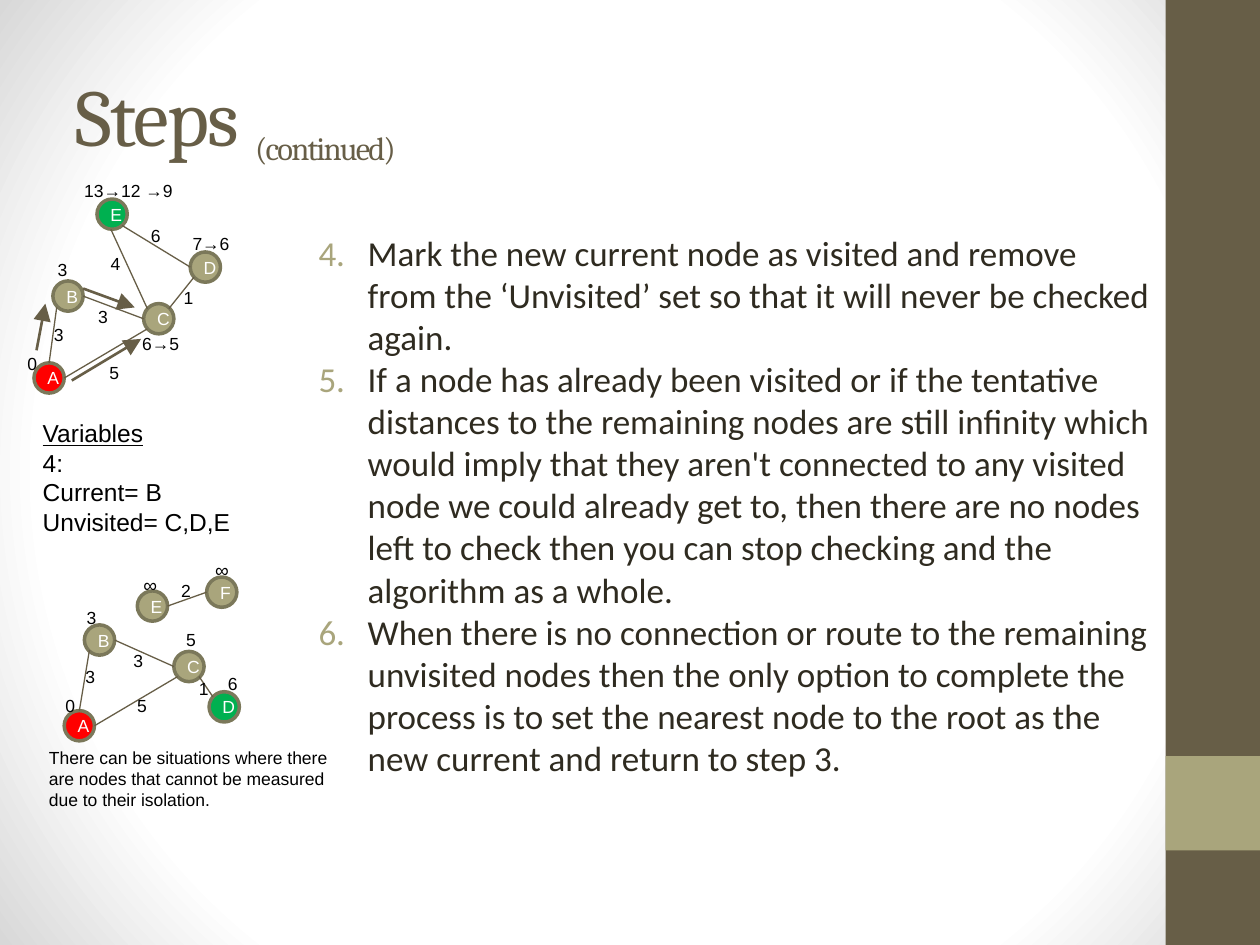
from typing import NamedTuple

from lxml.etree import SubElement
from pptx import Presentation
from pptx.dml.color import RGBColor
from pptx.enum.shapes import MSO_CONNECTOR as Connector, MSO_SHAPE as Preset
from pptx.enum.text import MSO_ANCHOR as Anchor
from pptx.oxml import parse_xml
from pptx.oxml.ns import nsdecls, qn
from pptx.util import Emu, Pt

EMU_PER_PX = 9144  # 100 px to the inch
NODE_SIZE = 24
LABEL_HEIGHT = 29

COLORS = {
    "brown": "675E47",
    "olive": "A9A57C",
    "rim": "7B785A",
    "start": "FF0000",
    "goal": "00B050",
    "body": "2F2B20",
    "black": "000000",
    "white": "FFFFFF",
    "edge gray": "D8D8D8",
}


class Node(NamedTuple):
    letter: str
    left: int
    top: int
    color: str = "olive"


class Edge(NamedTuple):
    x1: int
    y1: int
    x2: int
    y2: int


class Label(NamedTuple):
    text: str
    left: int
    top: int
    width: int = 23
    size: int = 10


class Graph(NamedTuple):
    nodes: list[Node]
    edges: list[Edge]
    labels: list[Label]
    moves: list[Edge]


UPPER_GRAPH = Graph(
    nodes=[Node("A", 27, 288, "start"), Node("B", 42, 223), Node("C", 114, 241),
           Node("D", 151, 200), Node("E", 77, 158, "goal")],
    edges=[Edge(51, 300, 117, 261), Edge(39, 288, 45, 244), Edge(134, 245, 154, 220),
           Edge(88, 182, 117, 245), Edge(151, 212, 97, 179), Edge(66, 235, 114, 253)],
    labels=[Label("0", 12, 275), Label("6→5", 103, 259, 71), Label("3", 36, 201),
            Label("13→12 →9", 57, 138, 98), Label("7→6", 143, 180, 54),
            Label("3", 33, 252), Label("3", 68, 238), Label("4", 78, 196),
            Label("5", 77, 282), Label("1", 136, 223), Label("6", 110, 174)],
    moves=[Edge(29, 278, 36, 241), Edge(66, 229, 107, 244), Edge(57, 302, 112, 269)],
)
LOWER_GRAPH = Graph(
    nodes=[Node("A", 51, 564, "start"), Node("B", 67, 496), Node("C", 138, 517),
           Node("D", 166, 549, "goal"), Node("E", 109, 469), Node("F", 164, 458)],
    edges=[Edge(75, 576, 141, 537), Edge(63, 564, 71, 516), Edge(158, 537, 169, 553),
           Edge(91, 508, 138, 529), Edge(164, 470, 133, 481)],
    labels=[Label("0", 42, 547), Label("5", 138, 494), Label("3", 59, 477),
            Label("3", 58, 524), Label("3", 96, 511), Label("5", 99, 547),
            Label("1", 148, 533), Label("6", 171, 529), Label("2", 134, 455),
            Label("∞", 104, 450, size=11), Label("∞", 161, 438, size=11)],
    moves=[],
)
VARIABLES = ["Variables", "4:", "Current= B", "Unvisited= C,D,E"]
STEPS = [
    "Mark the new current node as visited and remove from the ‘Unvisited’ set so that "
    "it will never be checked again.",
    "If a node has already been visited or if the tentative distances to the remaining "
    "nodes are still infinity which would imply that they aren't connected to any visited "
    "node we could already get to, then there are no nodes left to check then you can stop "
    "checking and the algorithm as a whole.",
    "When there is no connection or route to the remaining unvisited nodes then the only "
    "option to complete the process is to set the nearest node to the root as the new "
    "current and return to step 3.",
]
CAPTION = ("There can be situations where there are nodes that cannot be measured "
           "due to their isolation.")


def px(value: int) -> Emu:
    return Emu(value * EMU_PER_PX)


def rgb(name: str) -> RGBColor:
    return RGBColor.from_string(COLORS[name])


def set_background(slide) -> None:
    """Fill the slide with a radial gradient from white to gray corners."""
    stops = "".join(
        f'<a:gs pos="{position * 1000}"><a:srgbClr val="{COLORS[name]}"/></a:gs>'
        for position, name in [(0, "white"), (75, "white"), (100, "edge gray")])
    background = parse_xml(
        f'<p:bg {nsdecls("p", "a")}><p:bgPr><a:gradFill rotWithShape="1">'
        f'<a:gsLst>{stops}</a:gsLst><a:path path="circle">'
        '<a:fillToRect l="50000" t="50000" r="50000" b="50000"/></a:path>'
        '</a:gradFill><a:effectLst/></p:bgPr></p:bg>')
    slide._element.cSld.insert(0, background)


def add_run(paragraph, text: str, size: int, color: str = "black", font: str = "Arial"):
    run = paragraph.add_run()
    run.text = text
    run.font.name, run.font.size = font, Pt(size)
    run.font.color.rgb = rgb(color)
    return run


def add_text_box(slide, left: int, top: int, width: int, height: int, margin: int = 5):
    """Add a wrapping text frame; margin is its top and bottom inset."""
    frame = slide.shapes.add_textbox(px(left), px(top), px(width), px(height)).text_frame
    frame.word_wrap = True
    frame.margin_left = frame.margin_right = px(10)
    frame.margin_top = frame.margin_bottom = px(margin)
    return frame


def add_paragraphs(frame, lines: list[str], size: int, color: str = "black",
                   font: str = "Arial"):
    for index, line in enumerate(lines):
        paragraph = frame.add_paragraph() if index else frame.paragraphs[0]
        add_run(paragraph, line, size, color, font)
    return frame.paragraphs


def add_block(slide, preset, left: int, top: int, width: int, height: int, color: str):
    shape = slide.shapes.add_shape(preset, px(left), px(top), px(width), px(height))
    shape.shadow.inherit = False
    shape.fill.solid()
    shape.fill.fore_color.rgb = rgb(color)
    shape.line.fill.background()
    return shape


def draw_node(slide, node: Node) -> None:
    shape = add_block(slide, Preset.OVAL, node.left, node.top, NODE_SIZE, NODE_SIZE, node.color)
    shape.line.color.rgb, shape.line.width = rgb("rim"), Pt(2)
    frame = shape.text_frame
    frame.word_wrap = True
    frame.vertical_anchor = Anchor.MIDDLE
    frame.margin_left = frame.margin_right = px(10)
    frame.margin_top = frame.margin_bottom = px(5)
    add_run(frame.paragraphs[0], node.letter, 10, "white")


def draw_edge(slide, edge: Edge, width: float = 0.75, arrow: bool = False) -> None:
    connector = slide.shapes.add_connector(Connector.STRAIGHT, *map(px, edge))
    connector.line.color.rgb, connector.line.width = rgb("brown"), Pt(width)
    properties = connector._element.spPr
    SubElement(properties, qn("a:effectLst"))
    if arrow:
        SubElement(properties.find(qn("a:ln")), qn("a:tailEnd"),
                   type="triangle", w="lg", len="lg")


def draw_graph(slide, graph: Graph) -> None:
    for node in graph.nodes:
        draw_node(slide, node)
    for edge in graph.edges:
        draw_edge(slide, edge)
    for label in graph.labels:
        frame = add_text_box(slide, label.left, label.top, label.width, LABEL_HEIGHT)
        add_run(frame.paragraphs[0], label.text, label.size)
    for move in graph.moves:
        draw_edge(slide, move, 1.5, arrow=True)


def draw_title(slide) -> None:
    frame = add_text_box(slide, 50, 30, 833, 125, margin=10)
    frame.vertical_anchor = Anchor.MIDDLE
    paragraph = frame.paragraphs[0]
    heading = add_run(paragraph, "Steps ", 46, "brown", "Cambria")
    suffix = add_run(paragraph, "(continued)", 32, "brown", "Cambria")
    for run in (heading, suffix):
        run._r.get_or_add_rPr().set("spc", "-100")
    suffix._r.get_or_add_rPr().set("baseline", "-25000")


def draw_steps(slide) -> None:
    frame = add_text_box(slide, 232, 174, 693, 525, margin=10)
    for paragraph in add_paragraphs(frame, STEPS, 20, "body", "Calibri"):
        properties = paragraph._p.get_or_add_pPr()
        properties.set("marL", str(px(50)))
        properties.set("indent", str(px(-39)))
        bullet_color = SubElement(properties, qn("a:buClr"))
        SubElement(bullet_color, qn("a:srgbClr"), val=COLORS["olive"])
        SubElement(properties, qn("a:buFont"), typeface="Calibri")
        SubElement(properties, qn("a:buAutoNum"), type="arabicPeriod", startAt="4")


def main() -> None:
    presentation = Presentation()
    presentation.slide_width, presentation.slide_height = px(1000), px(750)
    slide = presentation.slides.add_slide(presentation.slide_layouts[6])
    set_background(slide)
    add_block(slide, Preset.RECTANGLE, 925, 0, 75, 750, "brown")
    add_block(slide, Preset.RECTANGLE, 925, 600, 75, 75, "olive")
    variables = add_paragraphs(add_text_box(slide, 24, 322, 198, 108, 10), VARIABLES, 14)
    variables[0].runs[0].font.underline = True
    draw_title(slide)
    draw_steps(slide)
    draw_graph(slide, LOWER_GRAPH)
    draw_graph(slide, UPPER_GRAPH)
    add_paragraphs(add_text_box(slide, 29, 588, 258, 61), [CAPTION], 10)
    presentation.save("out.pptx")


if __name__ == "__main__":
    main()
